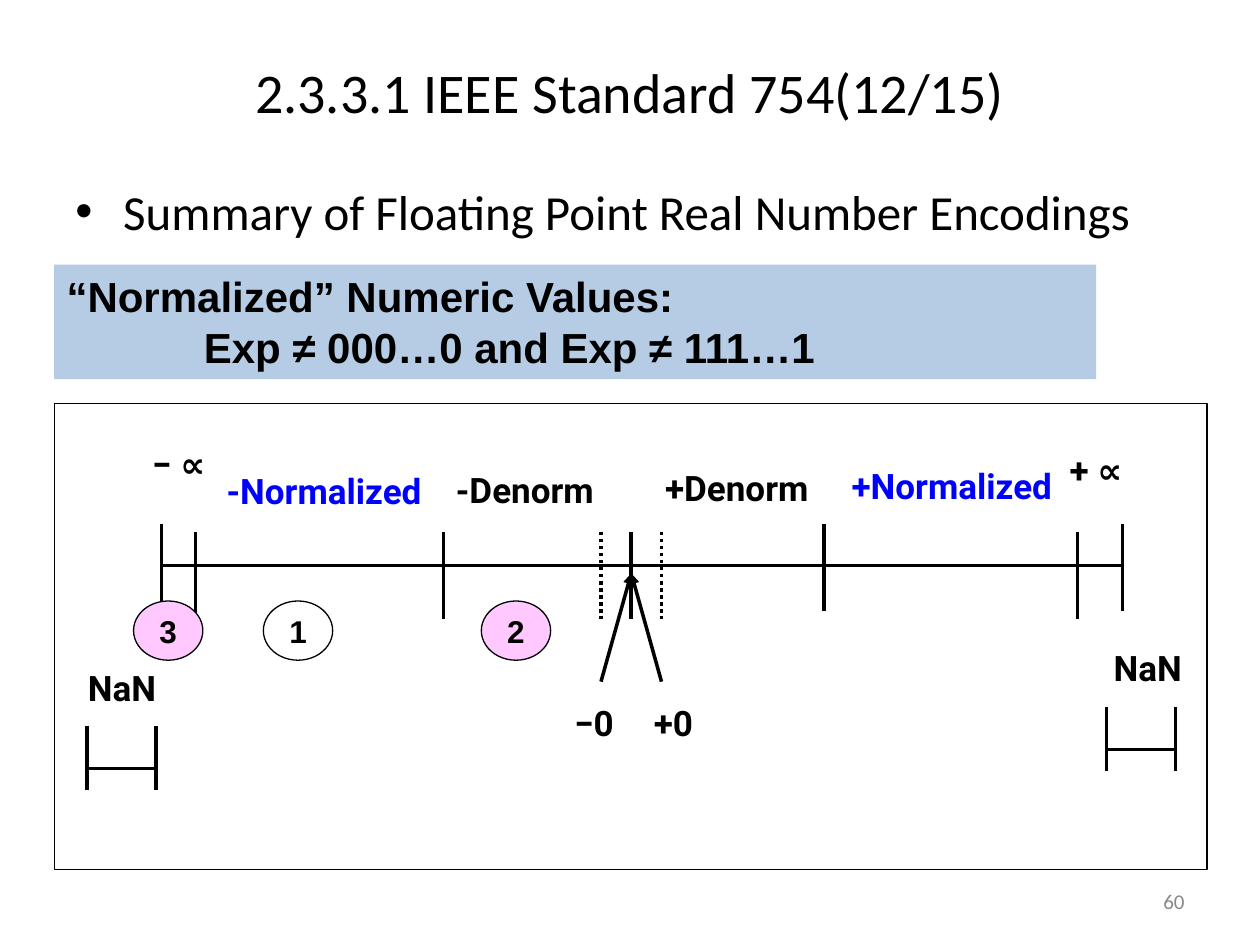
from lxml.etree import SubElement
from pptx import Presentation
from pptx.dml.color import RGBColor
from pptx.enum.dml import MSO_LINE
from pptx.enum.shapes import MSO_CONNECTOR, MSO_SHAPE
from pptx.enum.text import MSO_ANCHOR, PP_ALIGN
from pptx.oxml.ns import qn
from pptx.util import Inches, Pt

COLORS = {
    "black": "000000", "white": "FFFFFF", "blue": "0000FF",
    "banner": "B6CBE4", "pink": "FFC9FF", "gray": "898989",
}
FORMATS = {
    "title": {"name": "Calibri", "size": Pt(32), "bold": False},
    "body": {"name": "Calibri", "size": Pt(28), "bold": False},
    "label": {"name": "Roboto", "size": Pt(20), "bold": True},
    "banner": {"name": "Arial", "size": Pt(24), "bold": True},
    "badge": {"name": "Arial", "size": Pt(18), "bold": True},
    "number": {"name": "Calibri", "size": Pt(12), "bold": False},
}

TITLE = "2.3.3.1 IEEE Standard 754(12/15)"
BULLET = "Summary of Floating Point Real Number Encodings"
BANNER = ["“Normalized” Numeric Values:", "Exp ≠ 000…0 and Exp ≠ 111…1"]
PAGE_NUMBER = "60"

LABELS = [
    ("− ∝", 1.11, 3.46, 0.63, "black"),
    ("-Normalized", 1.7, 3.68, 1.91, "blue"),
    ("-Denorm", 3.52, 3.67, 1.43, "black"),
    ("+Denorm", 5.18, 3.65, 1.54, "black"),
    ("+Normalized", 6.66, 3.64, 2.02, "blue"),
    ("+ ∝", 8.39, 3.51, 0.71, "black"),
    ("NaN", 0.6, 5.24, 0.8, "black"),
    ("NaN", 8.74, 5.08, 0.8, "black"),
    ("−0", 4.46, 5.52, 0.53, "black"),
    ("+0", 5.09, 5.52, 0.61, "black"),
]
BADGES = [("1", 2.09, "white"), ("2", 3.82, "pink"), ("3", 1.06, "pink")]

AXIS_LEFT, AXIS_RIGHT, AXIS_Y = 1.28, 8.91, 4.49
ZERO_X, ZERO_GAP = 5.01, 0.24
ZERO_SIDES = [ZERO_X - ZERO_GAP, ZERO_X + ZERO_GAP]
TICK_HEIGHT = 0.69
TICKS = {4.16: [AXIS_LEFT, 6.54, AXIS_RIGHT], 4.22: [1.55, 3.52, ZERO_X, 8.55]}
DOTTED_TOP = 4.22
NAN_RANGES = [(0.69, 5.76), (8.78, 5.61)]
NAN_WIDTH, NAN_HEIGHT, NAN_BAR = 0.55, 0.51, 0.34


def rgb(name):
    return RGBColor.from_string(COLORS[name])


def write(box, lines, style, color="black", align=PP_ALIGN.LEFT,
          anchor=MSO_ANCHOR.TOP, wrap=True):
    frame = box.text_frame
    frame.word_wrap = wrap
    frame.vertical_anchor = anchor
    for index, line in enumerate(lines):
        para = frame.add_paragraph() if index else frame.paragraphs[0]
        para.alignment = align
        span = para.add_run()
        span.text = line
        for attribute, value in FORMATS[style].items():
            setattr(span.font, attribute, value)
        span.font.color.rgb = rgb(color)
    return frame


def add_text(page, place, text, style, **options):
    box = page.shapes.add_textbox(*map(Inches, place))
    return write(box, [text], style, **options)


def add_panel(page, kind, place, fill=None, outline=None):
    panel = page.shapes.add_shape(kind, *map(Inches, place))
    panel.shadow.inherit = False
    if fill:
        panel.fill.solid()
        panel.fill.fore_color.rgb = rgb(fill)
    else:
        panel.fill.background()
    if outline:
        panel.line.color.rgb = rgb(outline)
        panel.line.width = Pt(0.75)
    else:
        panel.line.fill.background()
    return panel


def add_line(page, start, end, dotted=False, arrow=False):
    line = page.shapes.add_connector(MSO_CONNECTOR.STRAIGHT, *map(Inches, start + end))
    line.line.color.rgb = rgb("black")
    line.line.width = Pt(2)
    if dotted:
        line.line.dash_style = MSO_LINE.ROUND_DOT
    if arrow:
        SubElement(line.line._get_or_add_ln(), qn("a:tailEnd"), type="triangle")
    SubElement(line._element.spPr, qn("a:effectLst"))


def add_tick(page, x, top, height=TICK_HEIGHT, dotted=False):
    add_line(page, (x, top), (x, top + height), dotted=dotted)


def indent(para, left, first=0):
    properties = para._p.get_or_add_pPr()
    properties.set("marL", str(Inches(left)))
    properties.set("indent", str(Inches(first)))
    return properties


def add_number_line(page):
    add_line(page, (AXIS_LEFT, AXIS_Y), (AXIS_RIGHT, AXIS_Y))
    for top, positions in TICKS.items():
        for x in positions:
            add_tick(page, x, top)
    for x in ZERO_SIDES:
        add_tick(page, x, DOTTED_TOP, dotted=True)
        add_line(page, (x, 5.41), (ZERO_X, 4.55), arrow=True)
    for left, top in NAN_RANGES:
        right, middle = left + NAN_WIDTH, top + NAN_BAR
        add_line(page, (left, middle), (right, middle))
        for x in (left, right):
            add_tick(page, x, top, NAN_HEIGHT)
    for text, left, top, width, color in LABELS:
        add_text(page, (left, top, width, 0.43), text, "label", color=color, wrap=False)


def main():
    deck = Presentation()
    deck.slide_width, deck.slide_height = Inches(10), Inches(7.5)
    page = deck.slides.add_slide(deck.slide_layouts[6])

    add_text(page, (0, 0.3, 10, 0.85), TITLE, "title",
             align=PP_ALIGN.CENTER, anchor=MSO_ANCHOR.MIDDLE)
    body = add_text(page, (0.5, 1.39, 9, 5.31), BULLET, "body")
    bullet = body.paragraphs[0]
    bullet.space_before = Pt(5.6)
    properties = indent(bullet, 0.38, -0.38)
    SubElement(properties, qn("a:buFont"), typeface="Arial")
    SubElement(properties, qn("a:buChar"), char="•")

    add_number_line(page)
    add_panel(page, MSO_SHAPE.RECTANGLE, (0.43, 3.2, 9.15, 3.7), outline="black")

    banner = add_panel(page, MSO_SHAPE.RECTANGLE, (0.43, 2.1, 8.27, 0.91), fill="banner")
    condition = write(banner, BANNER, "banner").paragraphs[1]
    indent(condition, 1.09)

    for text, left, fill in BADGES:
        badge = add_panel(page, MSO_SHAPE.OVAL, (left, 4.77, 0.55, 0.47), fill, "black")
        write(badge, [text], "badge", align=PP_ALIGN.CENTER,
              anchor=MSO_ANCHOR.MIDDLE, wrap=False)

    add_text(page, (7.17, 6.95, 2.33, 0.4), PAGE_NUMBER, "number", color="gray",
             align=PP_ALIGN.RIGHT, anchor=MSO_ANCHOR.MIDDLE)
    deck.save("out.pptx")


if __name__ == "__main__":
    main()
